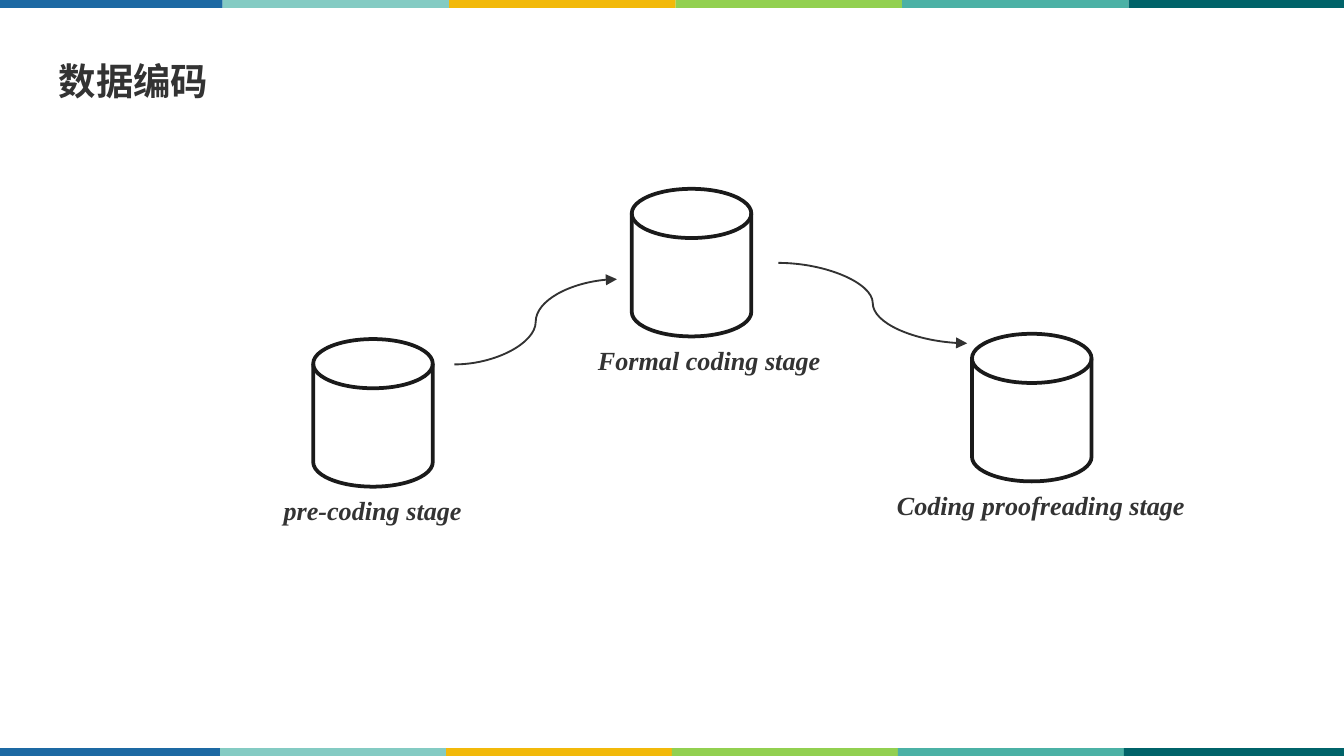
import pptx
import pptx.dml.color
import pptx.enum.dml
import pptx.enum.shapes
import pptx.enum.text
import pptx.oxml.ns
import pptx.util
from lxml import etree
from pptx.util import Cm

COLORS = {
    "blue": "1D69A3", "mint": "84CBC3", "amber": "F2B90A",
    "green": "92D050", "teal": "4BB1A5", "deep": "006369",
    "text": "333333", "outline": "1A1A1A", "arrow": "323232",
}
STRIPE = ["blue", "mint", "amber", "green", "teal", "deep"]
SHAPES = pptx.enum.shapes.MSO_SHAPE


def color(name):
    return pptx.dml.color.RGBColor.from_string(COLORS[name])


def add_stripe(page, left, top, step):
    """Draw a row of touching colour bars along a slide edge."""
    for index, name in enumerate(STRIPE):
        bar = page.shapes.add_shape(
            SHAPES.RECTANGLE, Cm(left + index * step), Cm(top), Cm(step), Cm(0.15))
        bar.shadow.inherit = False
        bar.fill.solid()
        bar.fill.fore_color.rgb = color(name)
        bar.line.fill.background()


def add_text(page, text, left, top, width, height, *, size, font, italic=False):
    box = page.shapes.add_textbox(Cm(left), Cm(top), Cm(width), Cm(height))
    box.text_frame.word_wrap = False
    box.text_frame.auto_size = pptx.enum.text.MSO_AUTO_SIZE.SHAPE_TO_FIT_TEXT
    span = box.text_frame.paragraphs[0].add_run()
    span.text = text
    span.font.size = pptx.util.Pt(size)
    span.font.name = font
    span.font.bold = True
    span.font.italic = italic
    span.font.color.rgb = color("text")


def add_cylinder(page, left, top):
    cylinder = page.shapes.add_shape(
        SHAPES.FLOWCHART_MAGNETIC_DISK, Cm(left), Cm(top), Cm(2.26), Cm(2.79))
    cylinder.shadow.inherit = False
    cylinder.fill.background()
    cylinder.line.color.rgb = color("outline")
    cylinder.line.width = pptx.util.Pt(2)


def add_curved_arrow(page, start, end):
    arrow = page.shapes.add_connector(
        pptx.enum.shapes.MSO_CONNECTOR.CURVE, *map(Cm, start + end))
    arrow.line.color.rgb = color("arrow")
    arrow.line.width = pptx.util.Pt(1)
    qn = pptx.oxml.ns.qn
    etree.SubElement(arrow.line._get_or_add_ln(), qn("a:tailEnd"), type="triangle")
    etree.SubElement(arrow._element.spPr, qn("a:effectLst"))


def main():
    deck = pptx.Presentation()
    deck.slide_width, deck.slide_height = Cm(25.4), Cm(14.29)
    page = deck.slides.add_slide(deck.slide_layouts[6])

    add_stripe(page, -0.07, 0, 4.28)
    add_stripe(page, -0.11, 14.14, 4.27)
    add_text(page, "数据编码", 0.86, 0.97, 3.38, 1.12, size=20, font="Calibri")

    # Cylinder position, then label text, position and width
    stages = [
        ((5.92, 6.41), "pre-coding stage", (5.11, 9.22), 3.91),
        ((11.94, 3.57), "Formal coding stage", (11.05, 6.38), 4.75),
        ((18.37, 6.31), "Coding proofreading stage", (16.7, 9.12), 5.99),
    ]
    for corner, label, place, width in stages:
        add_cylinder(page, *corner)
        add_text(page, label, *place, width, 0.86,
                 size=14, font="Times New Roman", italic=True)

    add_curved_arrow(page, (8.59, 6.89), (11.66, 5.28))
    add_curved_arrow(page, (14.71, 4.97), (18.28, 6.49))

    deck.save("out.pptx")


if __name__ == "__main__":
    main()
